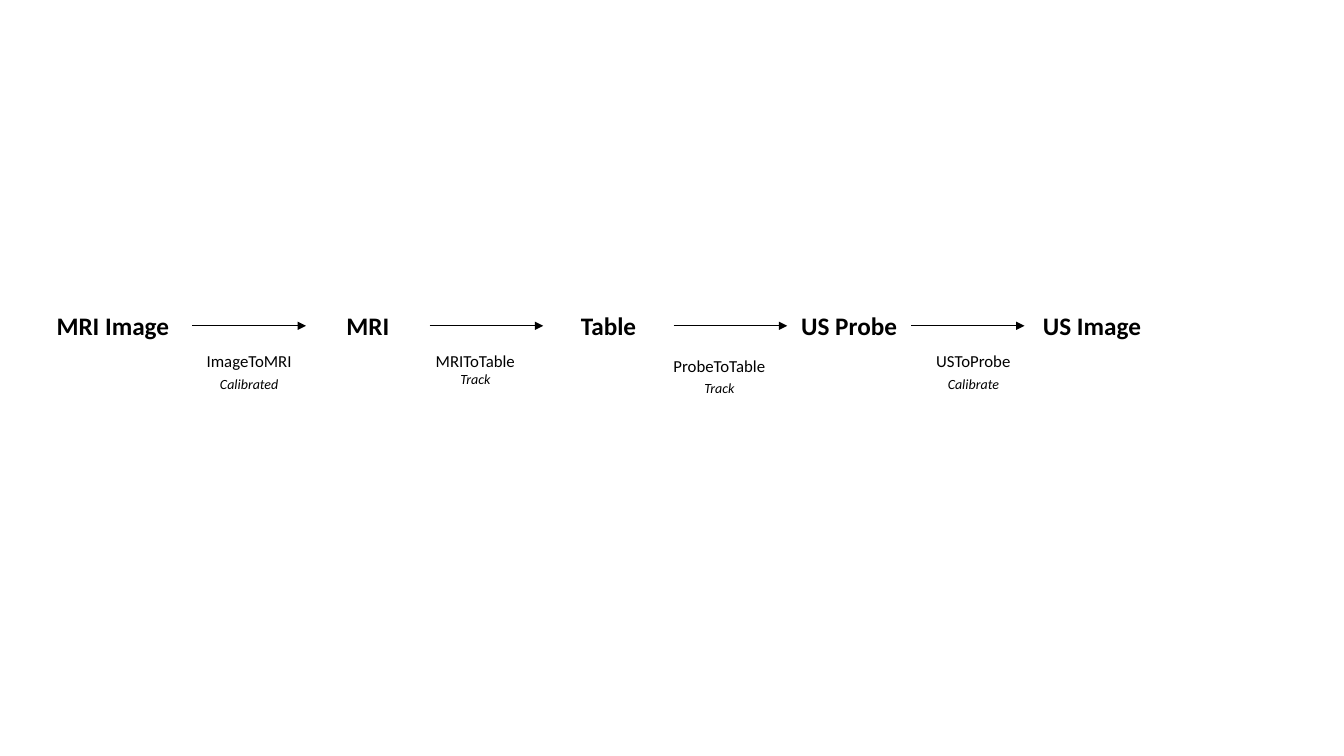
from dataclasses import dataclass
from lxml import etree
from pptx import Presentation, util as u
from pptx.dml.color import RGBColor
from pptx.enum import shapes, text
from pptx.oxml import ns


@dataclass(frozen=True)
class Theme:
    font: str = "Calibri"
    ink: RGBColor = RGBColor(0, 0, 0)
    node: int = 18
    label: int = 12
    note: int = 10
    line: float = 0.5


THEME = Theme()
NODE_H, LABEL_H, NOTE_H = 1.02, 0.76, 0.68
GAP = 2.86
NODES = [("MRI Image", 4.01), ("MRI", 3.12), ("Table", 3.29),
         ("US Probe", 3.12), ("US Image", 3.4)]
# label, width, drop; note, width, drop; shift from arrow centre
STEPS = [
    (("ImageToMRI", 3.81, 1.02), ("Calibrated", 2.18, 1.63), 0),
    (("MRIToTable", 3.81, 1.02), ("Track", 1.32, 1.5), -0.28),
    (("ProbeToTable", 3.99, 1.14), ("Track", 1.32, 1.73), -0.28),
    (("USToProbe", 3.12, 1.02), ("Calibrate", 1.9, 1.65), 0.14),
]


def write(slide, words, mid, top, width, height, size, bold=False, italic=False):
    box = slide.shapes.add_textbox(
        u.Cm(mid - width / 2), u.Cm(top), u.Cm(width), u.Cm(height))
    frame = box.text_frame
    frame.text = words
    frame.word_wrap = False
    frame.auto_size = text.MSO_AUTO_SIZE.SHAPE_TO_FIT_TEXT
    para = frame.paragraphs[0]
    para.alignment = text.PP_ALIGN.CENTER
    font = para.runs[0].font
    font.name, font.size = THEME.font, u.Pt(size)
    font.bold, font.italic = bold, italic
    font.color.rgb = THEME.ink


def arrow(slide, left, right, top):
    link = slide.shapes.add_connector(
        shapes.MSO_CONNECTOR.STRAIGHT,
        u.Cm(left), u.Cm(top), u.Cm(right), u.Cm(top))
    link.line.width = u.Pt(THEME.line)
    link.line.color.rgb = THEME.ink
    etree.SubElement(link.line._get_or_add_ln(), ns.qn("a:tailEnd"), type="triangle")
    etree.SubElement(link._element.spPr, ns.qn("a:effectLst"))


def step(slide, left, top, label, note, shift):
    arrow(slide, left, left + GAP, top + NODE_H / 2)
    mid = left + GAP / 2 + shift
    words, width, drop = label
    write(slide, words, mid, top + drop, width, LABEL_H, THEME.label)
    words, width, drop = note
    write(slide, words, mid, top + drop, width, NOTE_H, THEME.note, italic=True)


def chain(slide, left, top):
    for place, (words, width) in enumerate(NODES):
        write(slide, words, left + width / 2, top, width, NODE_H,
              THEME.node, bold=True)
        left += width
        if place < len(STEPS):
            step(slide, left, top, *STEPS[place])
            left += GAP


deck = Presentation()
deck.slide_width, deck.slide_height = u.Cm(33.87), u.Cm(19.05)
page = deck.slides.add_slide(deck.slide_layouts[6])
chain(page, 0.84, 7.7)
deck.save("out.pptx")
